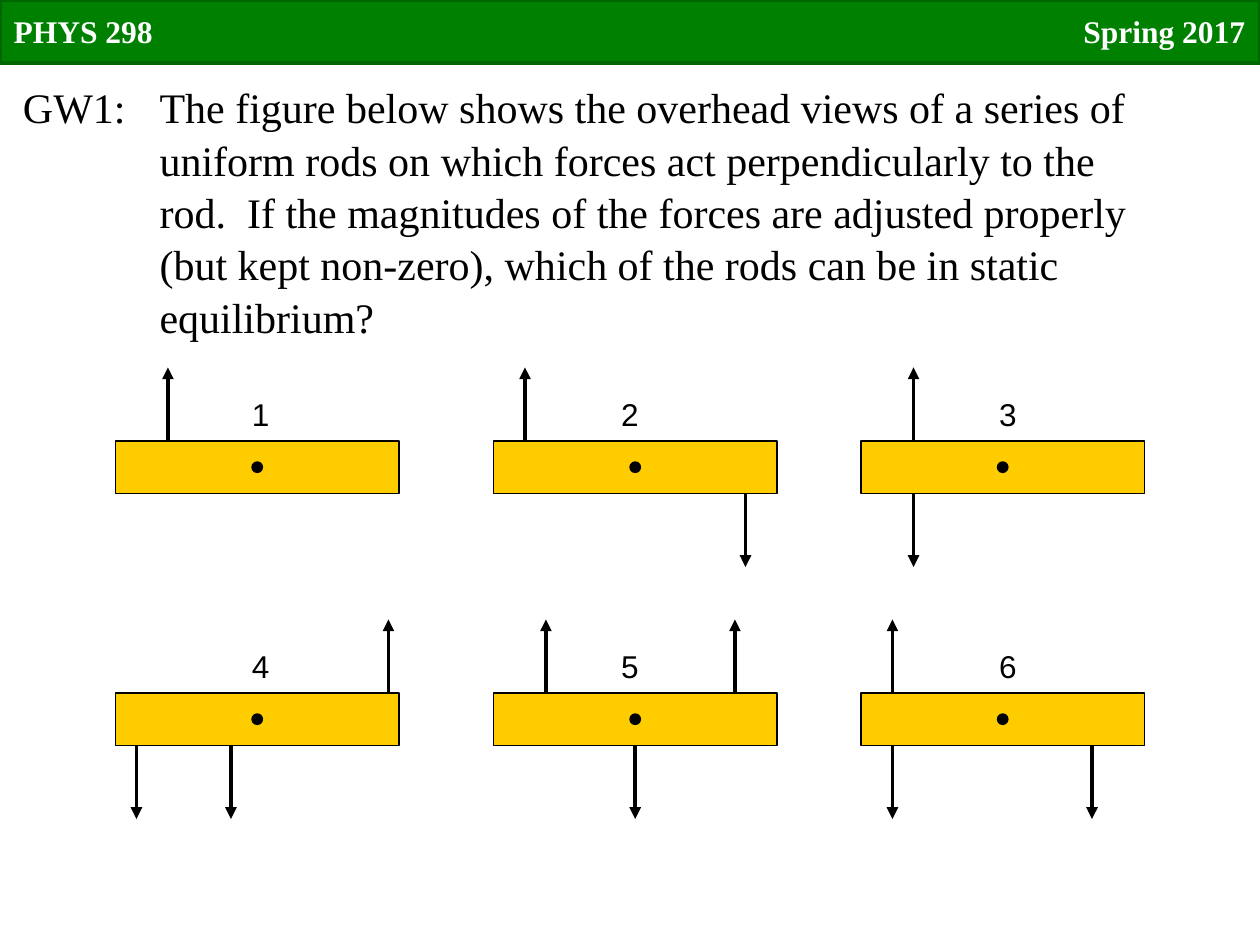
"""Build a physics slide on rods with perpendicular forces."""
from dataclasses import dataclass

from lxml import etree
from pptx import Presentation
from pptx.dml.color import RGBColor
from pptx.enum import shapes as kinds, text as modes
from pptx.oxml import ns
from pptx.util import Pt

SERIF, SANS = "Times New Roman", "Arial"
BLACK, WHITE, GOLD = "000000", "FFFFFF", "FFCC00"
GREEN, EDGE = "008000", "006600"
WIDE, HIGH, DOT, REACH = 162, 30, 6, 42
QUERY = (
    "The figure below shows the overhead views of a series of uniform rods "
    "on which forces act perpendicularly to the rod.  If the magnitudes of "
    "the forces are adjusted properly (but kept non-zero), which of the rods "
    "can be in static equilibrium?"
)


@dataclass(frozen=True)
class Rod:
    """A numbered rod with the offsets of its forces from the left end."""
    name: str
    left: float
    top: float
    mark: float
    ups: tuple = ()
    downs: tuple = ()


RODS = (
    Rod("1", 66, 252, 136.8, ups=(30,)),
    Rod("2", 282, 252, 347.8, ups=(18,), downs=(144,)),
    Rod("3", 492, 252, 563.8, ups=(30,), downs=(30,)),
    Rod("4", 66, 396, 136.8, ups=(156,), downs=(12, 66)),
    Rod("5", 282, 396, 347.8, ups=(30, 138), downs=(81,)),
    Rod("6", 492, 396, 563.8, ups=(18,), downs=(18, 132)),
)


def tint(code: str) -> RGBColor:
    """Turn a hex string into a colour."""
    return RGBColor.from_string(code)


def write(shape, words: str, size: float, face: str, color: str = BLACK,
          bold: bool = False, wrap: bool = False, gap: float = 1) -> None:
    """Put one run of formatted text at the top left of a shape."""
    frame = shape.text_frame
    frame.word_wrap = wrap
    frame.auto_size = modes.MSO_AUTO_SIZE.SHAPE_TO_FIT_TEXT
    frame.vertical_anchor = modes.MSO_ANCHOR.TOP
    para = frame.paragraphs[0]
    para.alignment = modes.PP_ALIGN.LEFT
    para.line_spacing = gap
    run = para.add_run()
    run.text = words
    font = run.font
    font.name, font.size, font.bold = face, Pt(size), bold
    font.color.rgb = tint(color)


def label(slide, box: tuple, words: str, size: float, face: str, **style) -> None:
    """Add a text box at a place in points."""
    write(slide.shapes.add_textbox(*map(Pt, box)), words, size, face, **style)


def block(slide, kind, box: tuple, fill: str, line: str = BLACK,
          width: float = 0.75):
    """Add a filled and outlined preset shape."""
    shape = slide.shapes.add_shape(kind, *map(Pt, box))
    shape.shadow.inherit = False
    shape.fill.solid()
    shape.fill.fore_color.rgb = tint(fill)
    shape.line.color.rgb = tint(line)
    shape.line.width = Pt(width)
    return shape


def force(slide, bar, rod: Rod, off: float, up: bool) -> None:
    """Draw a force arrow away from one long side of a rod."""
    x = rod.left + off
    y = rod.top if up else rod.top + HIGH
    end = y - REACH if up else y + REACH
    arrow = slide.shapes.add_connector(
        kinds.MSO_CONNECTOR.STRAIGHT, Pt(x), Pt(y), Pt(x), Pt(end))
    if off == WIDE / 2:
        arrow.begin_connect(bar, 0 if up else 2)
    arrow.line.color.rgb = tint(BLACK)
    arrow.line.width = Pt(2.25)
    etree.SubElement(arrow.line._get_or_add_ln(), ns.qn("a:tailEnd"), type="triangle")
    etree.SubElement(arrow._element.spPr, ns.qn("a:effectLst"))


def draw(slide, rod: Rod) -> None:
    """Draw a rod with its centre, number and forces."""
    form = kinds.MSO_SHAPE
    bar = block(slide, form.RECTANGLE, (rod.left, rod.top, WIDE, HIGH), GOLD)
    spot = (rod.left + (WIDE - DOT) / 2, rod.top + (HIGH - DOT) / 2, DOT, DOT)
    block(slide, form.OVAL, spot, BLACK)
    label(slide, (rod.mark, rod.top - 30, 24.5, 28.8), rod.name, 18, SANS)
    for off in rod.ups:
        force(slide, bar, rod, off, True)
    for off in rod.downs:
        force(slide, bar, rod, off, False)


def main() -> None:
    """Build and save the slide."""
    deck = Presentation()
    deck.slide_width, deck.slide_height = Pt(720), Pt(540)
    slide = deck.slides.add_slide(deck.slide_layouts[5])
    title = slide.shapes.title
    title.left, title.top, title.width, title.height = map(Pt, (84, 42, 570, 181.4))
    write(title, QUERY, 24, SERIF, wrap=True, gap=1.04)
    block(slide, kinds.MSO_SHAPE.RECTANGLE, (0, 0, 720, 36), GREEN, EDGE, 2)
    head = {"color": WHITE, "bold": True}
    label(slide, (0.7, 3.6, 95, 28.8), "PHYS 298", 18, SERIF, **head)
    label(slide, (612, 3.6, 108.7, 28.8), "Spring 2017", 18, SERIF, **head)
    label(slide, (6, 42, 77.8, 36), "GW1:", 24, SERIF, wrap=True, gap=1.04)
    for rod in RODS:
        draw(slide, rod)


    deck.save("out.pptx")


if __name__ == "__main__":
    main()
